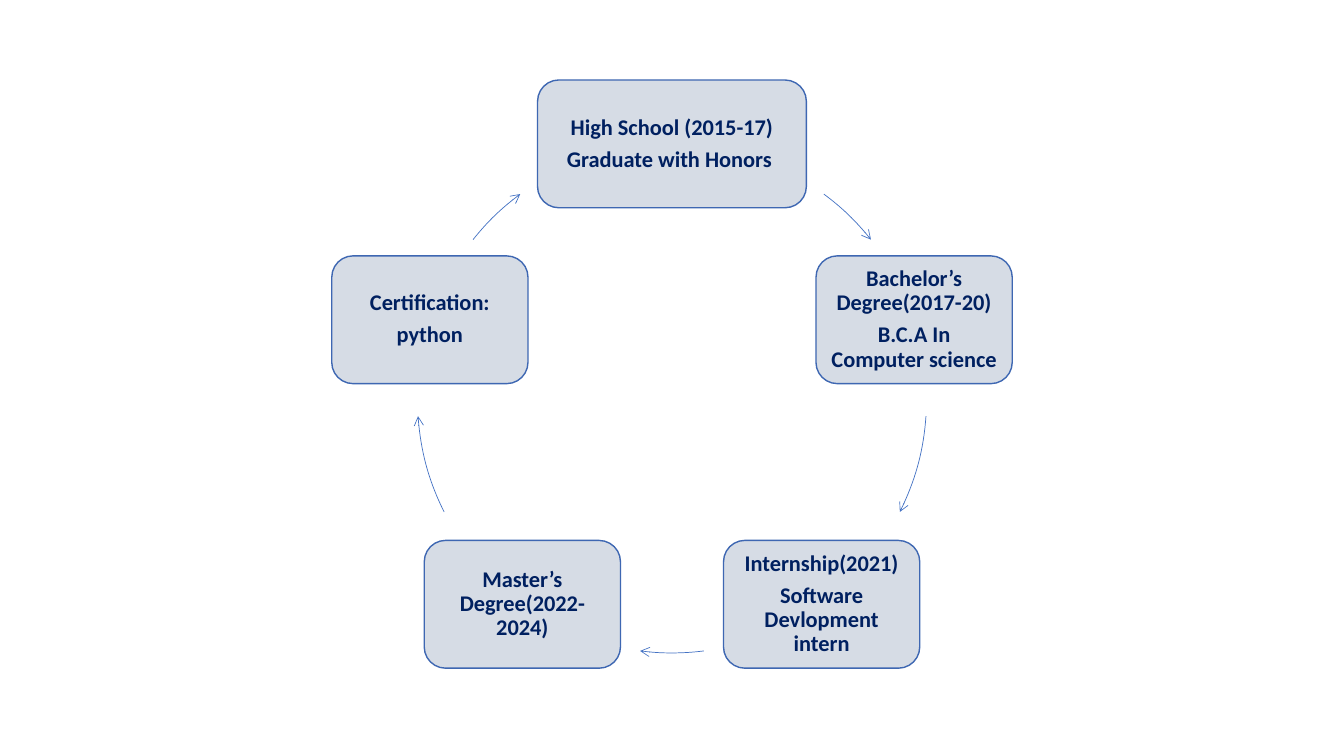
import math

from lxml import etree
from pptx import Presentation
from pptx import util as u
from pptx.dml.color import RGBColor
from pptx.enum import shapes, text
from pptx.oxml.ns import qn

COLORS = {"box": "D6DCE5", "border": "3E67B2", "arc": "4472C4", "text": "002060"}
WIDTH, HEIGHT = 13.33, 7.5
CENTER_X, CENTER_Y, RADIUS = 0.5, 0.527, 2.525
BOX_HEIGHT = 0.169
STAGES = [
    (0.2, "High School (2015-17)\nGraduate with Honors "),
    (0.146, "Bachelor’s Degree(2017-20)\nB.C.A In Computer science"),
    (0.146, "Internship(2021)\nSoftware Devlopment intern"),
    (0.146, "Master’s Degree(2022-2024)"),
    (0.146, "Certification:\npython"),
]
ARCS = [(306.6, 321.4), (4, 26.5), (82.8, 97.2), (153.5, 176), (218.6, 233.4)]


class CycleSlide:
    """Draws boxes and arc arrows on one slide, placed by shares of its size."""

    def __init__(self, prs):
        self.prs = prs
        self.s = prs.slides.add_slide(prs.slide_layouts[6])

    def shape(self, kind, x, y, w, h, line, weight):
        pw, ph = self.prs.slide_width, self.prs.slide_height
        sp = self.s.shapes.add_shape(
            kind, int((x - w / 2) * pw), int((y - h / 2) * ph), int(w * pw), int(h * ph))
        sp.shadow.inherit = False
        sp.line.color.rgb = RGBColor.from_string(COLORS[line])
        sp.line.width = u.Pt(weight)
        return sp

    def box(self, x, y, w, label):
        sp = self.shape(shapes.MSO_SHAPE.ROUNDED_RECTANGLE, x, y, w, BOX_HEIGHT, "border", 1)
        sp.fill.solid()
        sp.fill.fore_color.rgb = RGBColor.from_string(COLORS["box"])
        tf = sp.text_frame
        tf.text = label
        tf.word_wrap = True
        tf.vertical_anchor = text.MSO_ANCHOR.MIDDLE
        tf.margin_left = tf.margin_right = tf.margin_top = tf.margin_bottom = u.Inches(0.07)
        for p in tf.paragraphs:
            p.alignment = text.PP_ALIGN.CENTER
            p.line_spacing = 0.9
            p.space_after = u.Pt(5.6)
            for r in p.runs:
                r.font.name = "Calibri"
                r.font.size = u.Pt(16)
                r.font.bold = True
                r.font.color.rgb = RGBColor.from_string(COLORS["text"])

    def arc(self, start, end):
        sp = self.shape(shapes.MSO_SHAPE.ARC, CENTER_X, CENTER_Y,
                        2 * RADIUS / WIDTH, 2 * RADIUS / HEIGHT, "arc", 0.5)
        sp.fill.background()
        sp.adjustments[0] = start * 0.6
        sp.adjustments[1] = end * 0.6
        ln = sp.line._get_or_add_ln()
        etree.SubElement(ln, qn("a:tailEnd"), type="arrow")


def main():
    prs = Presentation()
    prs.slide_width, prs.slide_height = u.Inches(WIDTH), u.Inches(HEIGHT)
    slide = CycleSlide(prs)
    for i, ((w, label), arc) in enumerate(zip(STAGES, ARCS)):
        angle = math.radians(360 / len(STAGES) * i - 90)
        x = CENTER_X + RADIUS * math.cos(angle) / WIDTH
        y = CENTER_Y + RADIUS * math.sin(angle) / HEIGHT
        slide.box(x, y, w, label)
        slide.arc(*arc)
    prs.save("out.pptx")


if __name__ == "__main__":
    main()
